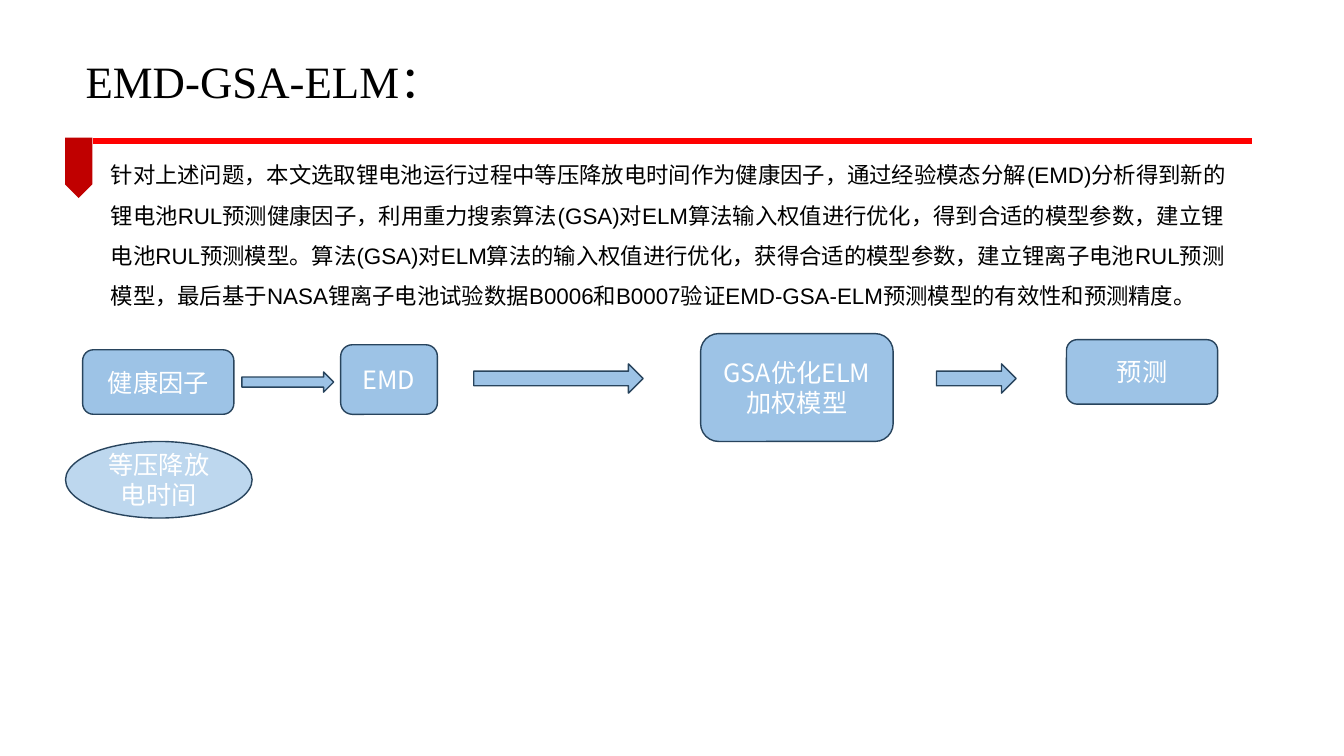
from pptx import Presentation, util as u
from pptx.dml.color import RGBColor
from pptx.enum import shapes, text
from pptx.oxml.ns import qn
from lxml import etree

COLORS = {"red": "FF0000", "ribbon": "C00000", "step": "9DC3E6", "factor": "BDD7EE",
          "outline": "28445D", "ink": "000000", "white": "FFFFFF"}
CJK_FONT = "Noto Sans CJK SC"
SHAPE = shapes.MSO_SHAPE


def color(name):
    return RGBColor.from_string(COLORS[name])


class SlideBuilder:
    """Draws on one page; all lengths are percent of the page's width or height."""

    def __init__(self, deck):
        self.deck = deck
        self.page = deck.slides.add_slide(deck.slide_layouts[6])

    def area(self, left, top, width, height):
        across, down = self.deck.slide_width / 100, self.deck.slide_height / 100
        return [round(n) for n in (left * across, top * down, width * across, height * down)]

    def set_words(self, frame, words, size=18, font=CJK_FONT, ink="white",
                  align=text.PP_ALIGN.CENTER, anchor=text.MSO_ANCHOR.MIDDLE, spacing=None):
        frame.word_wrap = True
        frame.vertical_anchor = anchor
        para = frame.paragraphs[0]
        para.alignment = align
        para.line_spacing = spacing
        span = para.add_run()
        span.text = words
        span.font.size = u.Pt(size)
        span.font.name = font
        span.font.color.rgb = color(ink)
        east_asian = etree.SubElement(span.font._element, qn("a:ea"))
        east_asian.set("typeface", CJK_FONT)

    def text_box(self, words, area, **style):
        box = self.page.shapes.add_textbox(*self.area(*area))
        self.set_words(box.text_frame, words, ink="ink", align=text.PP_ALIGN.LEFT,
                       anchor=text.MSO_ANCHOR.TOP, **style)

    def shape(self, kind, area, fill="step", outline="outline", words="", **style):
        shape = self.page.shapes.add_shape(kind, *self.area(*area))
        shape.shadow.inherit = False
        shape.fill.solid()
        shape.fill.fore_color.rgb = color(fill)
        if outline:
            shape.line.color.rgb = color(outline)
            shape.line.width = u.Pt(1)
        else:
            shape.line.fill.background()
        if words:
            self.set_words(shape.text_frame, words, **style)
        return shape

    def rule(self, left, top, width):
        x, y, length, _ = self.area(left, top, width, 0)
        rule = self.page.shapes.add_connector(shapes.MSO_CONNECTOR.STRAIGHT, x, y, x + length, y)
        rule.line.color.rgb = color("red")
        rule.line.width = u.Pt(4.5)
        etree.SubElement(rule._element.spPr, qn("a:effectLst"))


def main():
    deck = Presentation()
    deck.slide_width, deck.slide_height = u.Inches(13.33), u.Inches(7.5)
    slide = SlideBuilder(deck)

    slide.rule(6.9, 18.67, 86.25)
    ribbon = slide.shape(SHAPE.PENTAGON, (3.6, 20.4, 4.5, 3.6), fill="ribbon", outline=None)
    ribbon.rotation = 90

    slide.text_box("EMD-GSA-ELM：", (5.63, 6.4, 72.45, 8.53), size=32, font="Times New Roman")
    slide.text_box(
        "针对上述问题，本文选取锂电池运行过程中等压降放电时间作为健康因子，"
        "通过经验模态分解(EMD)分析得到新的锂电池RUL预测健康因子，"
        "利用重力搜索算法(GSA)对ELM算法输入权值进行优化，得到合适的模型参数，"
        "建立锂电池RUL预测模型。算法(GSA)对ELM算法的输入权值进行优化，"
        "获得合适的模型参数，建立锂离子电池RUL预测模型，"
        "最后基于NASA锂离子电池试验数据B0006和B0007验证EMD-GSA-ELM预测模型的有效性和预测精度。",
        (7.5, 18.93, 85.88, 22.4), size=16, font="Arial", spacing=1.5)

    steps = [("健康因子", (6.15, 46.27, 11.25, 8.53)),
             ("EMD", (25.35, 45.6, 7.2, 9.2)),
             ("GSA优化ELM加权模型", (52.13, 44.13, 14.33, 14.27)),
             ("预测", (79.35, 44.93, 11.25, 8.53))]
    for words, area in steps:
        slide.shape(SHAPE.ROUNDED_RECTANGLE, area, words=words)

    arrows = [(18, 49.2, 6.83, 2.67), (35.25, 48.13, 12.6, 3.87), (69.68, 48.13, 5.93, 3.87)]
    for area in arrows:
        slide.shape(SHAPE.RIGHT_ARROW, area)

    slide.shape(SHAPE.OVAL, (4.88, 58.4, 13.88, 10.13), fill="factor",
                words="等压降放电时间", font="Arial")
    deck.save("out.pptx")


if __name__ == "__main__":
    main()
